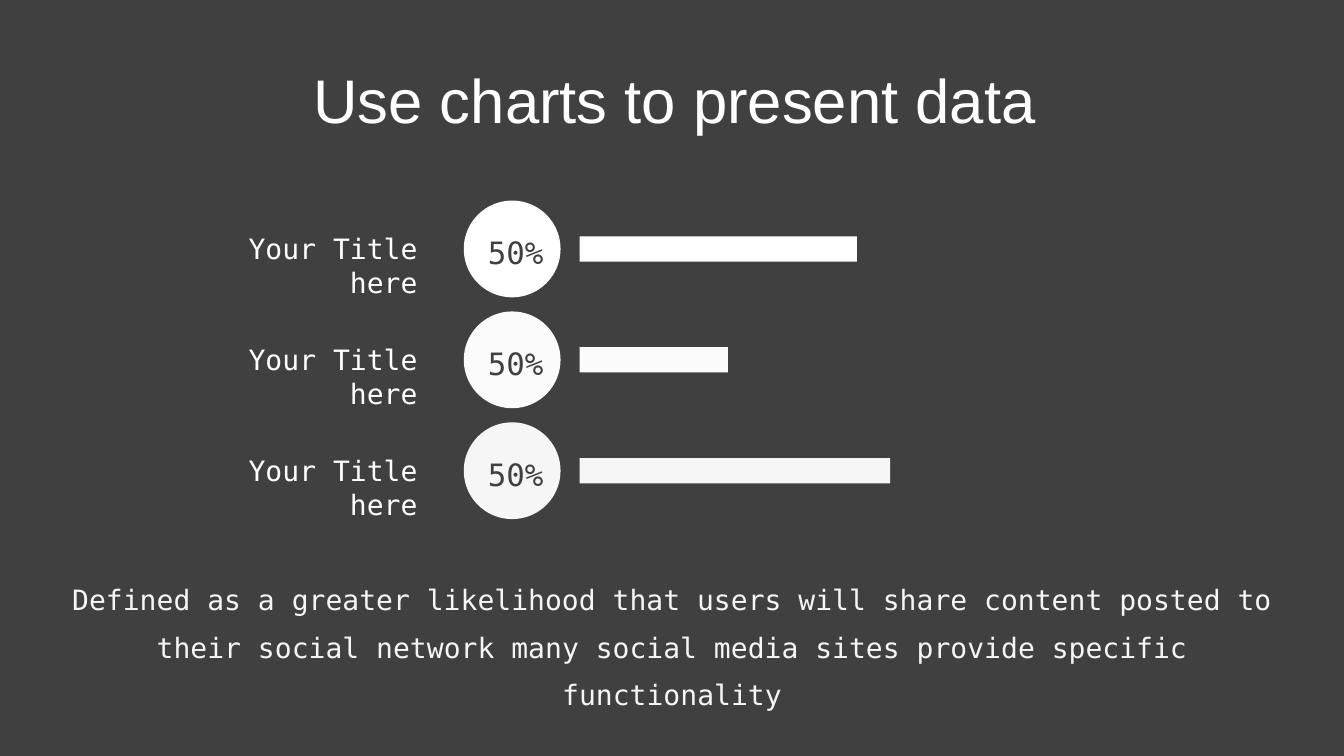
"""Build a dark slide with three percentage bars, a title and a closing statement."""
from dataclasses import dataclass

import pptx
import pptx.dml.color
import pptx.enum.shapes
import pptx.enum.text
import pptx.presentation
import pptx.shapes.autoshape
import pptx.slide
import pptx.text.text
import pptx.util

Inches = pptx.util.Inches
Pt = pptx.util.Pt
RGB = pptx.dml.color.RGBColor
Align = pptx.enum.text.PP_ALIGN
Anchor = pptx.enum.text.MSO_ANCHOR
Shape = pptx.enum.shapes.MSO_SHAPE


@dataclass(frozen=True)
class Theme:
    background: str = "404040"
    white: str = "FFFFFF"
    statement: str = "F5F5F5"
    heading_font: str = "Arial"
    text_font: str = "DejaVu Sans Mono"
    title_size: int = 44
    percent_size: int = 22
    text_size: int = 20


@dataclass(frozen=True)
class BarRow:
    label: str
    percent: str
    bar_width: float
    color: str


THEME = Theme()
ROWS = [
    BarRow("Your Title here", "50%", 2.75, "FFFFFF"),
    BarRow("Your Title here", "50%", 1.47, "FBFBFB"),
    BarRow("Your Title here", "50%", 3.08, "F6F6F6"),
]
FIRST_ROW_TOP = 1.99
ROW_STEP = 1.1
CIRCLE_SIZE = 0.96
BAR_HEIGHT = 0.25
STATEMENT = (
    "Defined as a greater likelihood that users will share content posted to "
    "their social network many social media sites provide specific functionality"
)


def write_text(tf: pptx.text.text.TextFrame, text: str, font: str, size: int,
               color: str, align: Align, inset: bool = True) -> pptx.text.text._Paragraph:
    """Fill a text frame with one formatted paragraph and return it."""
    tf.word_wrap = True
    tf.auto_size = pptx.enum.text.MSO_AUTO_SIZE.NONE
    if not inset:
        tf.margin_left = tf.margin_right = tf.margin_top = tf.margin_bottom = 0
    p = tf.paragraphs[0]
    p.text = text
    p.alignment = align
    p.font.name = font
    p.font.size = Pt(size)
    p.font.color.rgb = RGB.from_string(color)
    return p


def add_text_frame(slide: pptx.slide.Slide, left: float, top: float,
                   width: float, height: float) -> pptx.text.text.TextFrame:
    """Add a text box and return its text frame."""
    box = slide.shapes.add_textbox(Inches(left), Inches(top), Inches(width), Inches(height))
    return box.text_frame


def add_filled(slide: pptx.slide.Slide, kind: Shape, left: float, top: float,
               width: float, height: float, color: str) -> pptx.shapes.autoshape.Shape:
    """Add a flat preset shape without outline or shadow."""
    sp = slide.shapes.add_shape(kind, Inches(left), Inches(top), Inches(width), Inches(height))
    sp.shadow.inherit = False
    sp.fill.solid()
    sp.fill.fore_color.rgb = RGB.from_string(color)
    sp.line.fill.background()
    return sp


def add_row(slide: pptx.slide.Slide, row: BarRow, top: float) -> None:
    """Draw one label, percentage circle and bar."""
    bar_top = top + (CIRCLE_SIZE - BAR_HEIGHT) / 2
    add_filled(slide, Shape.RECTANGLE, 5.75, bar_top, row.bar_width, BAR_HEIGHT, row.color)
    add_filled(slide, Shape.OVAL, 4.6, top, CIRCLE_SIZE, CIRCLE_SIZE, row.color)
    write_text(add_text_frame(slide, 2.23, top + 0.26, 2.01, 0.44), row.label,
               THEME.text_font, THEME.text_size, THEME.white, Align.RIGHT)
    p = write_text(add_text_frame(slide, 4.8, top + 0.26, 0.63, 0.4), row.percent,
                   THEME.text_font, THEME.percent_size, THEME.background,
                   Align.CENTER, inset=False)
    p.line_spacing = 1.2


def add_title(slide: pptx.slide.Slide, text: str) -> None:
    """Place and format the slide title."""
    title = slide.shapes.title
    title.left, title.top = Inches(0.64), Inches(0.61)
    title.width, title.height = Inches(12.11), Inches(0.74)
    title.text_frame.vertical_anchor = Anchor.MIDDLE
    write_text(title.text_frame, text, THEME.heading_font, THEME.title_size,
               THEME.white, Align.CENTER, inset=False)


def main() -> None:
    """Create the presentation and save it."""
    prs = pptx.Presentation()
    prs.slide_width, prs.slide_height = Inches(13.33), Inches(7.5)
    slide = prs.slides.add_slide(prs.slide_layouts.get_by_name("Title Only"))
    slide.background.fill.solid()
    slide.background.fill.fore_color.rgb = RGB.from_string(THEME.background)
    add_title(slide, "Use charts to present data")
    for i, row in enumerate(ROWS):
        add_row(slide, row, FIRST_ROW_TOP + i * ROW_STEP)
    p = write_text(add_text_frame(slide, 0.6, 5.59, 12.13, 1.02), STATEMENT,
                   THEME.text_font, THEME.text_size, THEME.statement, Align.CENTER)
    p.line_spacing = Pt(34)
    prs.save("out.pptx")


if __name__ == "__main__":
    main()
